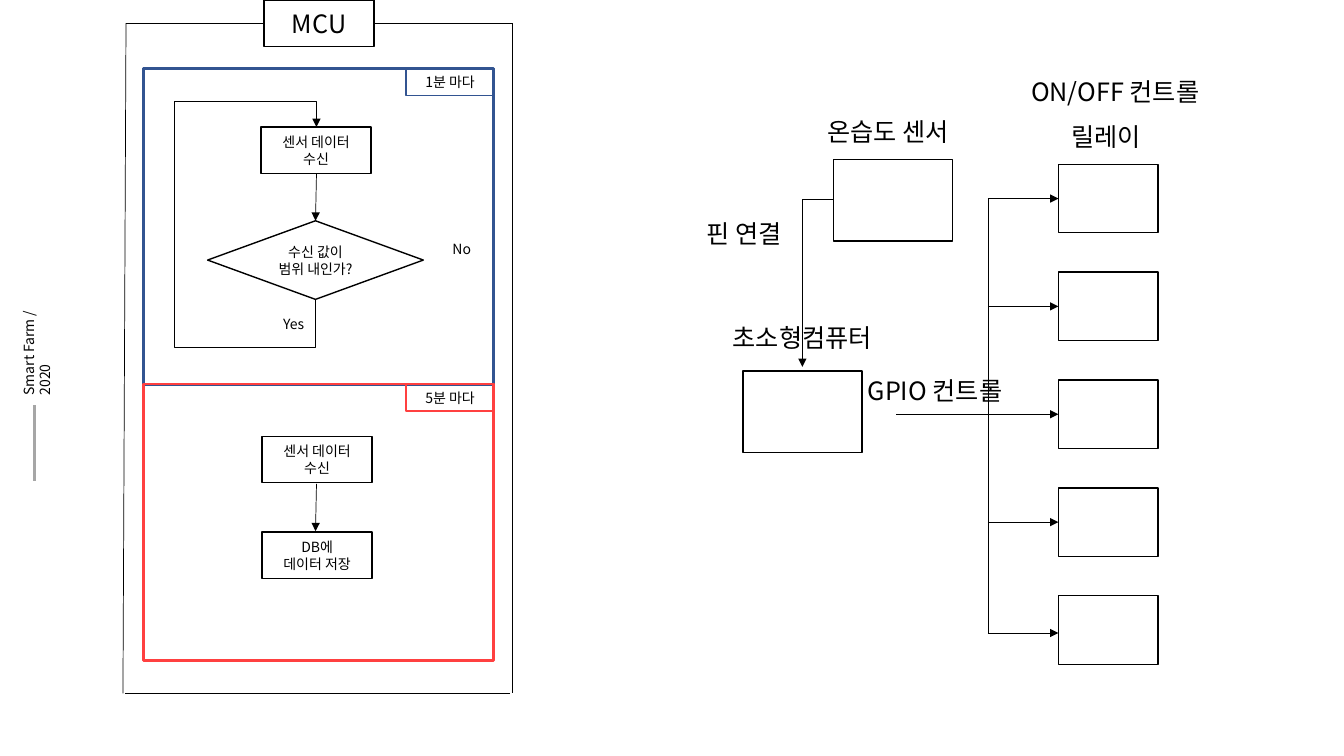
from dataclasses import dataclass

from lxml.etree import SubElement
from pptx import Presentation
from pptx.dml.color import RGBColor
from pptx.enum.shapes import MSO_CONNECTOR, MSO_SHAPE
from pptx.enum.text import MSO_ANCHOR, MSO_AUTO_SIZE, PP_ALIGN
from pptx.oxml.ns import qn
from pptx.util import Inches, Pt


@dataclass(frozen=True)
class Theme:
    font: str = "Noto Sans CJK KR"
    ink: str = "000000"
    blue: str = "325491"
    red: str = "FF4040"
    gray: str = "A6A6A6"
    large: int = 18
    small: int = 10
    thin: float = 0.5
    normal: float = 1
    thick: float = 2


THEME = Theme()
CELLS_PER_INCH = 10  # the slide is a grid of 133.3 columns by 75 rows


def cells(*values):
    return [Inches(v / CELLS_PER_INCH) for v in values]


def style_text(tf, text, size, align):
    tf.text = text
    for p in tf.paragraphs:
        p.alignment = align
        for r in p.runs:
            r.font.size = Pt(size)
            r.font.name = THEME.font
            r.font.color.rgb = RGBColor.from_string(THEME.ink)
            SubElement(r.font._element, qn("a:ea"), typeface=THEME.font)


def style_line(line, color, width, arrow=False):
    line.color.rgb = RGBColor.from_string(color)
    line.width = Pt(width)
    if arrow:
        ln = line._get_or_add_ln()
        SubElement(ln, qn("a:tailEnd"), type="triangle")


def add_box(shapes, col, row, cols, rows, text="", size=THEME.small,
            color=THEME.ink, width=THEME.normal, kind=MSO_SHAPE.RECTANGLE):
    sp = shapes.add_shape(kind, *cells(col, row, cols, rows))
    sp.shadow.inherit = False
    sp.fill.background()
    style_line(sp.line, color, width)
    if text:
        tf = sp.text_frame
        tf.word_wrap = True
        tf.vertical_anchor = MSO_ANCHOR.MIDDLE
        style_text(tf, text, size, PP_ALIGN.CENTER)
    return sp


def add_label(shapes, col, row, cols, rows, text, size=THEME.large):
    sp = shapes.add_textbox(*cells(col, row, cols, rows))
    tf = sp.text_frame
    tf.word_wrap = False
    tf.auto_size = MSO_AUTO_SIZE.SHAPE_TO_FIT_TEXT
    style_text(tf, text, size, PP_ALIGN.LEFT)


def add_side_title(shapes, col, row, cols, rows, text):
    sp = shapes.add_textbox(*cells(col, row, cols, rows))
    sp.rotation = 180
    tf = sp.text_frame
    tf.word_wrap = True
    tf._txBody.bodyPr.set("vert", "eaVert")
    style_text(tf, text, THEME.small, PP_ALIGN.LEFT)


def add_line(shapes, start, end, arrow=False, color=THEME.ink, width=THEME.thin):
    cn = shapes.add_connector(MSO_CONNECTOR.STRAIGHT, *cells(*start, *end))
    style_line(cn.line, color, width, arrow)
    SubElement(cn._element.spPr, qn("a:effectLst"))


def add_loop_arrow(shapes, points):
    start, *rest = [cells(*point) for point in points]
    builder = shapes.build_freeform(*start)
    builder.add_line_segments(rest, close=False)
    sp = builder.convert_to_shape()
    sp.shadow.inherit = False
    sp.fill.background()
    style_line(sp.line, THEME.ink, THEME.thin, arrow=True)


def add_period_panel(shapes, row, rows, text, color):
    add_box(shapes, 14.2, row, 34.8, rows, color=color, width=THEME.thick)
    add_box(shapes, 40.3, row, 8.7, 2.7, text, color=color)


def draw_mcu_flow(shapes):
    # Outer frame, open behind the title box
    frame = [((50.8, 2.3), (37.1, 2.3)), ((50.8, 2.3), (50.8, 68.8)),
             ((50.6, 68.8), (12.4, 68.8)), ((12.5, 2.3), (12.2, 68.8)),
             ((26.2, 2.3), (12.5, 2.3))]
    for start, end in frame:
        add_line(shapes, start, end)
    add_box(shapes, 26.2, 0, 10.9, 4.6, "MCU", THEME.large)

    # Every minute: read the sensor and check the range
    add_period_panel(shapes, 6.8, 31.4, "1분 마다", THEME.blue)
    add_box(shapes, 25.9, 12.6, 10.9, 4.6, "센서 데이터 수신")
    add_box(shapes, 20.6, 21.9, 21.4, 7.8, "수신 값이\n범위 내인가?",
            kind=MSO_SHAPE.DIAMOND)
    add_line(shapes, (31.4, 17.2), (31.3, 21.9), arrow=True)
    add_loop_arrow(shapes, [(31.3, 29.8), (31.3, 34.5), (17.3, 34.5),
                            (17.3, 10.1), (31.4, 10.1), (31.4, 12.6)])
    add_label(shapes, 27.1, 30.8, 4.2, 2.7, "Yes", THEME.small)
    add_label(shapes, 43.9, 23.4, 3.9, 2.7, "No", THEME.small)

    # Every five minutes: read the sensor and store
    add_period_panel(shapes, 38.1, 27.4, "5분 마다", THEME.red)
    for row, text in ((43.3, "센서 데이터 수신"), (52.8, "DB에\n데이터 저장")):
        add_box(shapes, 26, row, 10.9, 4.6, text)
    add_line(shapes, (31.4, 48), (31.3, 52.7), arrow=True)


def draw_wiring(shapes):
    # Sensor and controller board
    for col, row in ((82.7, 15.8), (73.7, 36.8)):
        add_box(shapes, col, row, 11.8, 8.1)
    add_line(shapes, (82.7, 19.8), (79.6, 19.8))
    add_line(shapes, (79.6, 19.8), (79.6, 36.4), arrow=True)

    # Relays and the bus that feeds them
    relays = shapes.add_group_shape().shapes
    for i in range(5):
        add_box(relays, 105, 16.3 + 10.7 * i, 9.9, 6.8)
    add_line(shapes, (98, 19.7), (98, 62.8))
    for col, row in ((98, 19.7), (98, 30.4), (88.9, 41.1), (98, 51.8), (98, 62.8)):
        add_line(shapes, (col, row), (105, row), arrow=True)

    # Captions
    for col, row, cols, text in ((101.3, 7.1, 19.8, "ON/OFF 컨트롤"),
                                 (105.3, 11.5, 9.6, "릴레이"),
                                 (85.1, 36.7, 16.3, "GPIO 컨트롤"),
                                 (71.7, 31.5, 17.2, "초소형컴퓨터"),
                                 (81.1, 11, 15.5, "온습도 센서"),
                                 (69.1, 21.2, 10.5, "핀 연결")):
        add_label(shapes, col, row, cols, 4, text)


def main():
    prs = Presentation()
    prs.slide_width, prs.slide_height = cells(133.33, 75)
    shapes = prs.slides.add_slide(prs.slide_layouts[6]).shapes

    # Side title with its rule
    add_side_title(shapes, 1.5, 26.6, 3.7, 13.6, "Smart Farm /\n2020")
    add_line(shapes, (3.4, 40.2), (3.4, 47.7), color=THEME.gray, width=THEME.thick)

    draw_mcu_flow(shapes)
    draw_wiring(shapes)
    prs.save("out.pptx")


if __name__ == "__main__":
    main()
